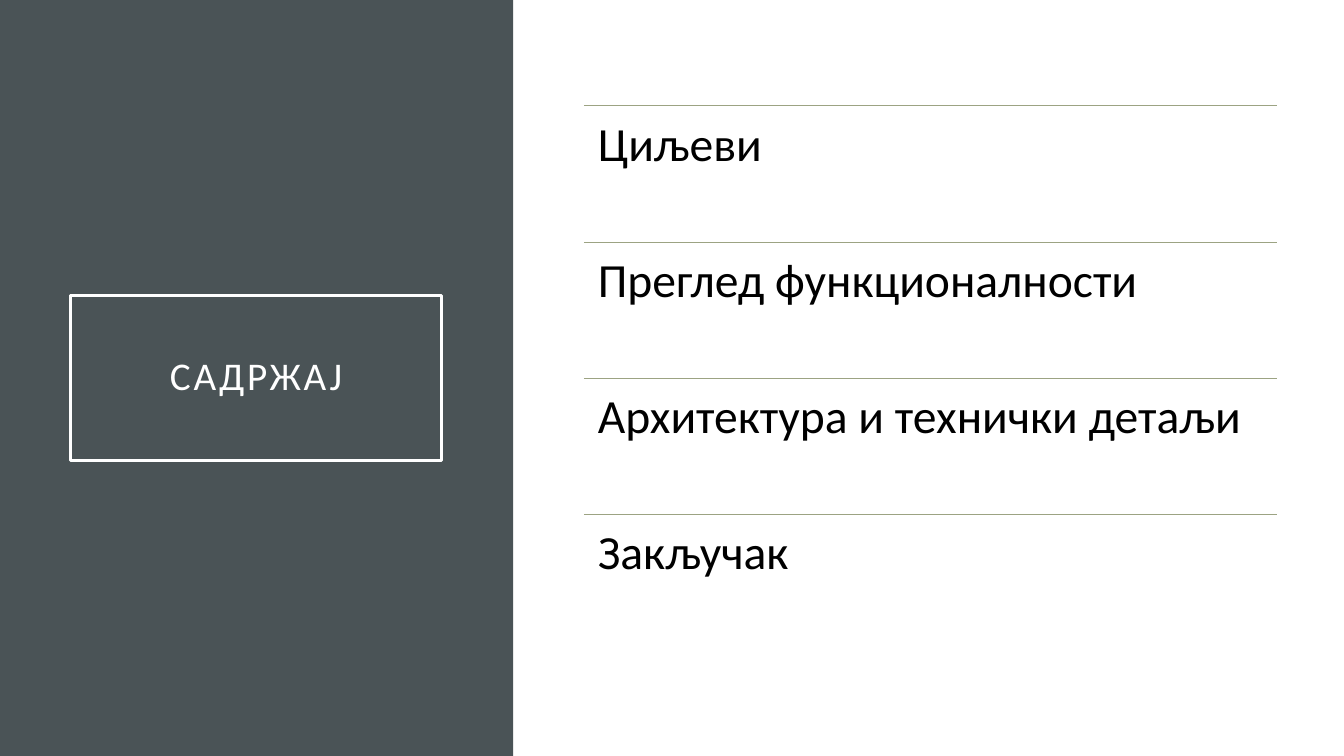
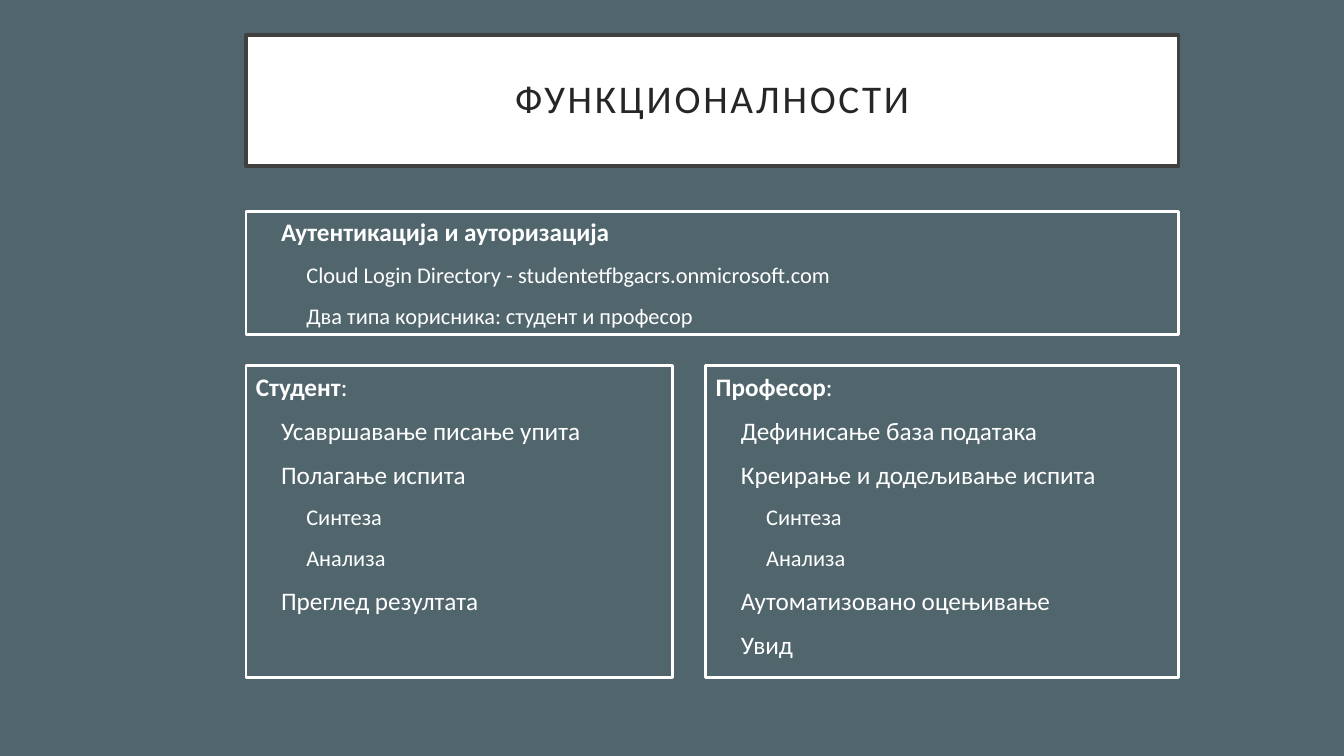
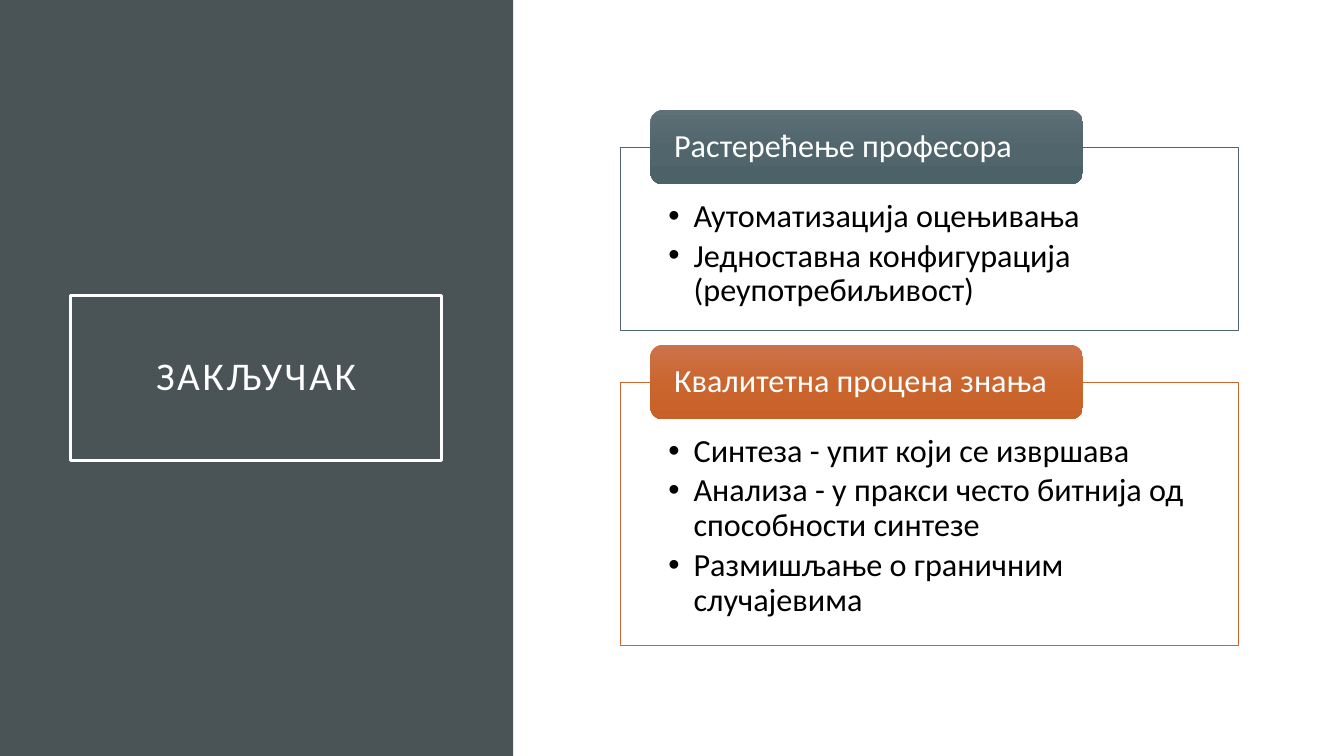
from copy import deepcopy

from lxml import etree
from pptx import Presentation
from pptx.dml.color import RGBColor
from pptx.enum.shapes import MSO_CONNECTOR, MSO_SHAPE
from pptx.enum.text import MSO_ANCHOR, PP_ALIGN
from pptx.oxml.ns import qn
from pptx.util import Inches, Pt

RECT, ROUNDED = MSO_SHAPE.RECTANGLE, MSO_SHAPE.ROUNDED_RECTANGLE
STRAIGHT = MSO_CONNECTOR.STRAIGHT
TOP, MIDDLE = MSO_ANCHOR.TOP, MSO_ANCHOR.MIDDLE
LEFT, CENTER = PP_ALIGN.LEFT, PP_ALIGN.CENTER

FONT = "Calibri"
COLORS = {
    "white": "FFFFFF",
    "black": "000000",
    "panel": "4A5356",
    "slate": "50656C",
    "orange": "C96731",
    "rule": "9CA383",
    "title_border": "404040",
    "title_text": "262626",
}
TAB_GRADIENTS = {
    "slate": ("5F7077", "50656C", "4B6269"),
    "orange": ("CC734B", "CB662F", "C86128"),
}
STEP = 0.25  # indent of one outline level


def rgb(color):
    return RGBColor.from_string(COLORS.get(color, color))


def add_slide(prs, background):
    slide = prs.slides.add_slide(prs.slide_layouts[6])
    slide.background.fill.solid()
    slide.background.fill.fore_color.rgb = rgb(background)
    return slide


def add_box(slide, left, top, width, height, fill=None, line=None, weight=1, kind=RECT):
    box = slide.shapes.add_shape(
        kind, Inches(left), Inches(top), Inches(width), Inches(height))
    box.shadow.inherit = False
    if fill:
        box.fill.solid()
        box.fill.fore_color.rgb = rgb(fill)
    else:
        box.fill.background()
    if line:
        box.line.color.rgb = rgb(line)
        box.line.width = Pt(weight)
    else:
        box.line.fill.background()
    return box


def add_rule(slide, left, top, width):
    rule = slide.shapes.add_connector(
        STRAIGHT, Inches(left), Inches(top), Inches(left + width), Inches(top))
    rule.line.color.rgb = rgb("rule")
    rule.line.width = Pt(0.5)
    etree.SubElement(rule._element.spPr, qn("a:effectLst"))


def set_bullet(paragraph):
    props = paragraph._p.get_or_add_pPr()
    props.set("marL", str(Inches(STEP)))
    props.set("indent", str(-Inches(STEP)))
    etree.SubElement(props, qn("a:buFont")).set("typeface", "Arial")
    etree.SubElement(props, qn("a:buChar")).set("char", "•")


def write(shape, paragraphs, size=18, sub_size=None, color="white", align=LEFT, anchor=TOP,
          insets=(0.1, 0.05, 0.1, 0.05), line_spacing=1.0, gap=0, tracking=0, bullets=False):
    """Fill a shape with (text, level, bold part) paragraphs; level 2 takes sub_size."""
    frame = shape.text_frame
    frame.word_wrap = True
    frame.vertical_anchor = anchor
    (frame.margin_left, frame.margin_top,
     frame.margin_right, frame.margin_bottom) = map(Inches, insets)
    for index, (text, level, bold_part) in enumerate(paragraphs):
        paragraph = frame.add_paragraph() if index else frame.paragraphs[0]
        if bullets:
            set_bullet(paragraph)
        elif level:
            paragraph._p.get_or_add_pPr().set("marL", str(Inches(STEP * level)))
        paragraph.alignment = align
        paragraph.line_spacing = line_spacing
        if index:
            paragraph.space_before = Pt(gap)
        for part, bold in ((bold_part, True), (text, False)):
            if part:
                run = paragraph.add_run()
                run.text = part
                run.font.name = FONT
                run.font.size = Pt(sub_size if level == 2 else size)
                run.font.bold = bold
                run.font.color.rgb = rgb(color)
                if tracking:
                    run._r.get_or_add_rPr().set("spc", str(tracking * 100))


def plain(*lines):
    return [(line, 0, "") for line in lines]


def add_title(slide, text, place, fill=None, border="white", color="white"):
    box = add_box(slide, *place, fill=fill, line=border, weight=2.5)
    write(box, plain(text), size=28, color=color, align=CENTER, anchor=MIDDLE,
          insets=(0.2,) * 4, line_spacing=0.9, tracking=2)


def add_panel_slide(prs, title):
    """White slide with a dark left panel that holds the framed title."""
    slide = add_slide(prs, "white")
    add_box(slide, 0, 0, 5.09, 7.5, fill="panel")
    add_title(slide, title, (0.7, 2.93, 3.68, 1.64))
    return slide


def add_agenda(slide, topics, left=5.79, top=1.05, width=6.88, row_height=1.35):
    for row, topic in enumerate(topics):
        row_top = top + row * row_height
        add_rule(slide, left, row_top, width)
        label = slide.shapes.add_textbox(
            Inches(left), Inches(row_top), Inches(width), Inches(row_height))
        write(label, plain(topic), size=34, color="black", insets=(0.14,) * 4,
              line_spacing=0.9)


def add_outline(slide, place, paragraphs):
    box = add_box(slide, *place, line="white", weight=2)
    write(box, paragraphs, sub_size=16, gap=10)


def fill_gradient(shape, colors):
    """Spread three colours evenly from top to bottom."""
    shape.fill.gradient()
    shape.fill.gradient_angle = 270
    stop_list = shape._element.spPr.find(".//" + qn("a:gsLst"))
    stop_list.insert(1, deepcopy(stop_list[0]))
    for index, (stop, color) in enumerate(zip(shape.fill.gradient_stops, colors)):
        stop.position = index / 2
        stop.color.rgb = rgb(color)


def add_conclusion(slide, top, height, theme, heading, points):
    """Framed bullet list with a rounded heading tab across its upper edge."""
    frame = add_box(slide, 6.15, top, 6.13, height, fill="white", line=theme, weight=0.5)
    write(frame, plain(*points), size=23, color="black", insets=(0.48, 0.52, 0.48, 0.18),
          line_spacing=0.9, gap=3.5, bullets=True)
    tab = add_box(slide, 6.45, top - 0.37, 4.29, 0.74, kind=ROUNDED)
    fill_gradient(tab, TAB_GRADIENTS[theme])
    write(tab, plain(heading), size=23, anchor=MIDDLE, insets=(0.2, 0, 0.2, 0),
          line_spacing=0.9)


def build_contents(prs):
    slide = add_panel_slide(prs, "САДРЖАЈ")
    add_agenda(slide, ("Циљеви", "Преглед функционалности",
                       "Архитектура и технички детаљи", "Закључак"))


def build_features(prs):
    slide = add_slide(prs, "slate")
    add_title(slide, "ФУНКЦИОНАЛНОСТИ", (2.44, 0.35, 9.25, 1.3),
              fill="white", border="title_border", color="title_text")
    exam_parts = [("Синтеза", 2, ""), ("Анализа", 2, "")]
    add_outline(slide, (2.44, 2.1, 9.25, 1.22), [
        ("", 1, "Аутентикација и ауторизација"),
        ("Cloud Login Directory - studentetfbgacrs.onmicrosoft.com", 2, ""),
        ("Два типа корисника: студент и професор", 2, ""),
    ])
    add_outline(slide, (2.44, 3.63, 4.23, 3.09), [
        (":", 0, "Студент"),
        ("Усавршавање писање упита", 1, ""),
        ("Полагање испита", 1, ""),
        *exam_parts,
        ("Преглед резултата", 1, ""),
    ])
    add_outline(slide, (7, 3.63, 4.69, 3.09), [
        (":", 0, "Професор"),
        ("Дефинисање база података", 1, ""),
        ("Креирање и додељивање испита", 1, ""),
        *exam_parts,
        ("Аутоматизовано оцењивање", 1, ""),
        ("Увид", 1, ""),
    ])


def build_conclusion(prs):
    slide = add_panel_slide(prs, "ЗАКЉУЧАК")
    add_conclusion(slide, 1.46, 1.82, "slate", "Растерећење професора", (
        "Аутоматизација оцењивања",
        "Једноставна конфигурација (реупотребиљивост)",
    ))
    add_conclusion(slide, 3.79, 2.61, "orange", "Квалитетна процена знања", (
        "Синтеза - упит који се извршава",
        "Анализа - у пракси често битнија од способности синтезе",
        "Размишљање о граничним случајевима",
    ))


def main():
    prs = Presentation()
    prs.slide_width, prs.slide_height = Inches(13.33), Inches(7.5)
    build_contents(prs)
    build_features(prs)
    build_conclusion(prs)
    prs.save("out.pptx")


if __name__ == "__main__":
    main()
